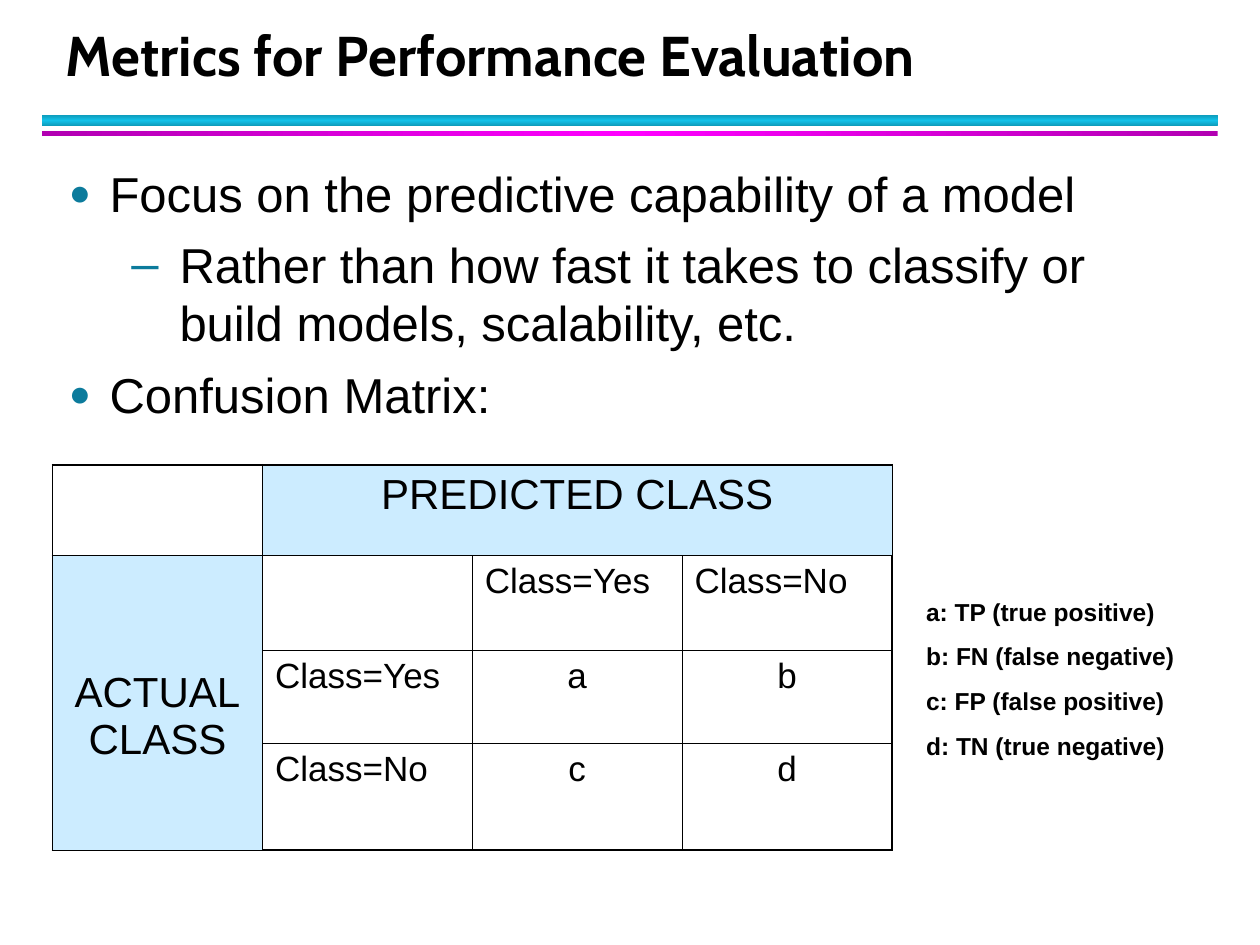
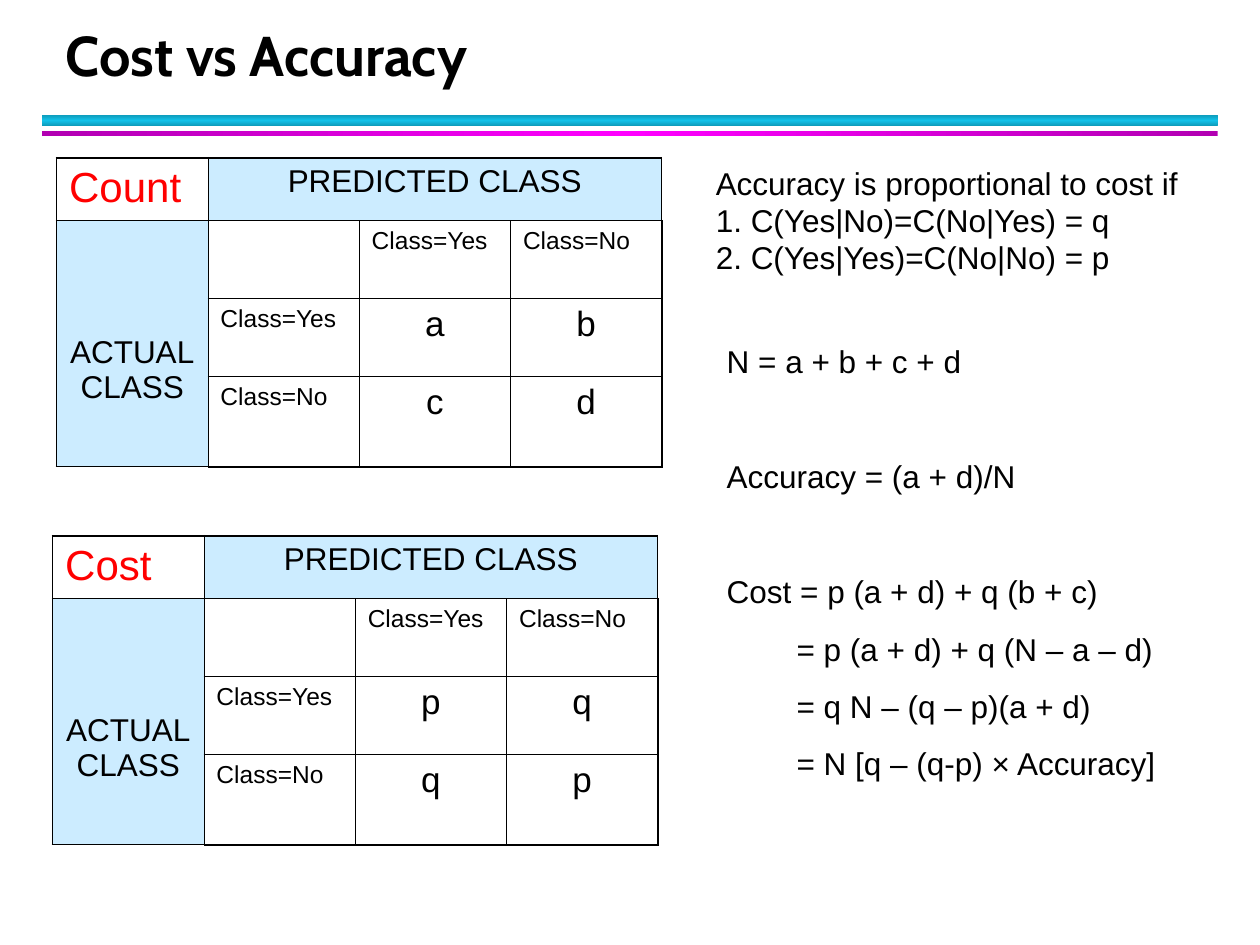
from pptx import Presentation
from pptx import util as u
from pptx.dml.color import RGBColor
from pptx.enum import shapes, text
from pptx.oxml import parse_xml
from pptx.oxml.ns import nsdecls

BLACK = RGBColor(0x00, 0x00, 0x00)
RED = RGBColor(0xFF, 0x00, 0x00)
PALE_BLUE = RGBColor(0xCC, 0xEC, 0xFF)
BULLET_TEAL = RGBColor(0x0C, 0x7B, 0x9C)
TEAL_DARK = RGBColor(0x0E, 0x9B, 0xBA)
TEAL = RGBColor(0x12, 0xC2, 0xE9)
PURPLE = RGBColor(0xB2, 0x00, 0xB2)
MAGENTA = RGBColor(0xFF, 0x00, 0xFF)


def element(tag, inner="", **attributes):
    """Make a DrawingML element."""
    listed = " ".join(f'{name}="{value}"' for name, value in attributes.items())
    return parse_xml(f'<a:{tag} {nsdecls("a")} {listed}>{inner}</a:{tag}>')


class Deck:
    """Hold the shared style and the slide being built."""

    body_font = "Arial"
    title_font = "Cabin"
    line_factor = 1.19
    inner_line, outer_line = 0.45, 1.08
    bullets = {0: ("●", 75, 0.82, 0.82), 1: ("–", 100, 2.23, 0.97)}

    def __init__(self):
        self.presentation = Presentation()
        self.presentation.slide_width = u.Cm(25.4)
        self.presentation.slide_height = u.Cm(19.05)
        self.slide = None

    def new_slide(self, title):
        """Start a slide with its title and two bands."""
        self.slide = self.presentation.slides.add_slide(self.presentation.slide_layouts[6])
        self.band(2.32, 0.22, TEAL_DARK, TEAL, 90)
        self.band(2.64, 0.11, PURPLE, MAGENTA, 0)
        frame = self.text_box(1.07, 0.43, 23.01, 1.47)
        frame.vertical_anchor = text.MSO_ANCHOR.BOTTOM
        paragraph = frame.paragraphs[0]
        paragraph.text = title
        paragraph.line_spacing = u.Pt(36)
        self.style(paragraph, 32, bold=True, name=self.title_font)

    def band(self, top, height, edge, middle, angle):
        """Draw a full-width band shaded from edge to middle and back."""
        shape = self.slide.shapes.add_shape(
            shapes.MSO_SHAPE.RECTANGLE, u.Cm(0.84), u.Cm(top), u.Cm(23.71), u.Cm(height))
        shape.shadow.inherit = False
        shape.line.fill.background()
        stops = "".join(
            f'<a:gs pos="{position}"><a:srgbClr val="{color}"/></a:gs>'
            for position, color in ((0, edge), (50000, middle), (100000, edge)))
        shape._element.spPr.insert(2, element(
            "gradFill", f'<a:gsLst>{stops}</a:gsLst><a:lin ang="{angle * 60000}" scaled="0"/>'))

    def text_box(self, left, top, width, height):
        """Add a wrapping text box and return its frame."""
        shape = self.slide.shapes.add_textbox(u.Cm(left), u.Cm(top), u.Cm(width), u.Cm(height))
        shape.text_frame.word_wrap = True
        return shape.text_frame

    def style(self, paragraph, size, color=BLACK, bold=False, name=None):
        """Set the font of a whole paragraph."""
        font = paragraph.font
        font.size, font.bold, font.name = u.Pt(size), bold, name or self.body_font
        font.color.rgb = color

    def lines(self, box, items, size, before=0, after=0, bold=False, prepare=None):
        """Fill a box with paragraphs given as (text, option) pairs."""
        frame = self.text_box(*box)
        for index, (line, option) in enumerate(items):
            paragraph = frame.add_paragraph() if index else frame.paragraphs[0]
            paragraph.text = line
            paragraph.line_spacing = u.Pt(round(size * self.line_factor, 1))
            paragraph.space_before = u.Pt(before if index else 0)
            paragraph.space_after = u.Pt(after)
            if prepare:
                prepare(paragraph, option)
            self.style(paragraph, size, bold=bold)

    def bullet(self, paragraph, level):
        """Give a paragraph the bullet and hanging indent of its level."""
        character, percent, margin, hanging = self.bullets[level]
        paragraph.level = level
        properties = paragraph._p.get_or_add_pPr()
        properties.set("marL", str(u.Cm(margin)))
        properties.set("indent", str(-u.Cm(hanging)))
        properties.append(element("buClr", f'<a:srgbClr val="{BULLET_TEAL}"/>'))
        properties.append(element("buSzPct", val=percent * 1000))
        properties.append(element("buFont", typeface=self.body_font))
        properties.append(element("buChar", char=character))

    def equation(self, paragraph, layout):
        """Set the left margin and the space before of an equation."""
        margin, before = layout
        paragraph._p.get_or_add_pPr().set("marL", str(u.Cm(margin)))
        paragraph.space_before = u.Pt(before)

    def borders(self, cell, row, column):
        """Draw thin inner and thicker outer borders."""
        outer = {"L": column == 0, "R": column == 3, "T": row == 0, "B": row == 3}
        for index, (side, is_outer) in enumerate(outer.items()):
            width = u.Pt(self.outer_line if is_outer else self.inner_line)
            cell._tc.get_or_add_tcPr().insert(index, element(
                f"ln{side}", f'<a:solidFill><a:srgbClr val="{BLACK}"/></a:solidFill>', w=width))

    def confusion_matrix(self, left, top, column_width, row_heights, values,
                         head_size, class_size, corner=""):
        """Add a two-class matrix of actual against predicted class."""
        table = self.slide.shapes.add_table(
            4, 4, u.Cm(left), u.Cm(top), u.Cm(4 * column_width), u.Cm(sum(row_heights))).table
        table.first_row = table.horz_banding = False
        for column in table.columns:
            column.width = u.Cm(column_width)
        for row, height in zip(table.rows, row_heights):
            row.height = u.Cm(height)
        table.cell(0, 1).merge(table.cell(0, 3))
        table.cell(1, 0).merge(table.cell(3, 0))
        (first, second), (third, fourth) = values
        grid = [
            [corner, "PREDICTED CLASS", "", ""],
            ["ACTUAL\vCLASS", "", "Class=Yes", "Class=No"],
            ["", "Class=Yes", first, second],
            ["", "Class=No", third, fourth],
        ]
        for row, entries in enumerate(grid):
            for column, entry in enumerate(entries):
                cell = table.cell(row, column)
                is_head = (row == 0) != (column == 0)
                is_value = row > 1 and column > 1
                if is_head:
                    cell.fill.solid()
                    cell.fill.fore_color.rgb = PALE_BLUE
                else:
                    cell.fill.background()
                self.borders(cell, row, column)
                if not entry:
                    continue
                paragraph = cell.text_frame.paragraphs[0]
                paragraph.text = entry
                if is_head or is_value:
                    paragraph.alignment = text.PP_ALIGN.CENTER
                if row == column == 0:
                    self.style(paragraph, 24, RED)
                else:
                    self.style(paragraph, head_size if is_head else 20 if is_value else class_size)
        table.cell(1, 0).margin_top = u.Cm(2.3)


def metrics_slide(deck):
    """Build the slide on the confusion matrix."""
    deck.new_slide("Metrics for Performance Evaluation")
    deck.lines((1.14, 3.18, 23.11, 5.8), [
        ("Focus on the predictive capability of a model", 0),
        ("Rather than how fast it takes to classify or build models, scalability, etc.", 1),
        ("Confusion Matrix:", 0),
    ], 28, before=3.5, after=4, prepare=deck.bullet)
    deck.confusion_matrix(1.06, 9.37, 4.23, (1.83, 1.91, 1.87, 2.16), ("ab", "cd"), 24, 20)
    meanings = ("a: TP (true positive)", "b: FN (false negative)",
                "c: FP (false positive)", "d: TN (true negative)")
    deck.lines((18.42, 11.91, 6.15, 3.56), [(meaning, None) for meaning in meanings],
               14, before=8.8, bold=True)


def cost_slide(deck):
    """Build the slide that compares cost with accuracy."""
    deck.new_slide("Cost vs Accuracy")
    for left, top, corner, values in ((1.14, 3.18, "Count", ("ab", "cd")),
                                      (1.06, 10.8, "Cost", ("pq", "qp"))):
        deck.confusion_matrix(left, top, 3.05, (1.27, 1.57, 1.57, 1.82), values, 18, 14, corner)
    near, far, step = 11.4, 44.3, 1.41
    deck.lines((14.4, 6.78, 9.96, 10.29), [
        ("N = a + b + c + d", (0, 0)),
        ("Accuracy = (a + d)/N", (0, far)),
        ("Cost = p (a + d) + q (b + c)", (0, far)),
        ("= p (a + d) + q (N – a – d)", (step, near)),
        ("= q N – (q – p)(a + d)", (step, near)),
        ("= N [q – (q-p) × Accuracy]", (step, near)),
    ], 18, prepare=deck.equation)
    deck.lines((14.18, 3.18, 10.37, 2.54), [
        ("Accuracy is proportional to cost if", None),
        ("1. C(Yes|No)=C(No|Yes) = q", None),
        ("2. C(Yes|Yes)=C(No|No) = p", None),
    ], 18)


def main():
    """Build and save both slides."""
    deck = Deck()
    metrics_slide(deck)
    cost_slide(deck)
    deck.presentation.save("out.pptx")


if __name__ == "__main__":
    main()
